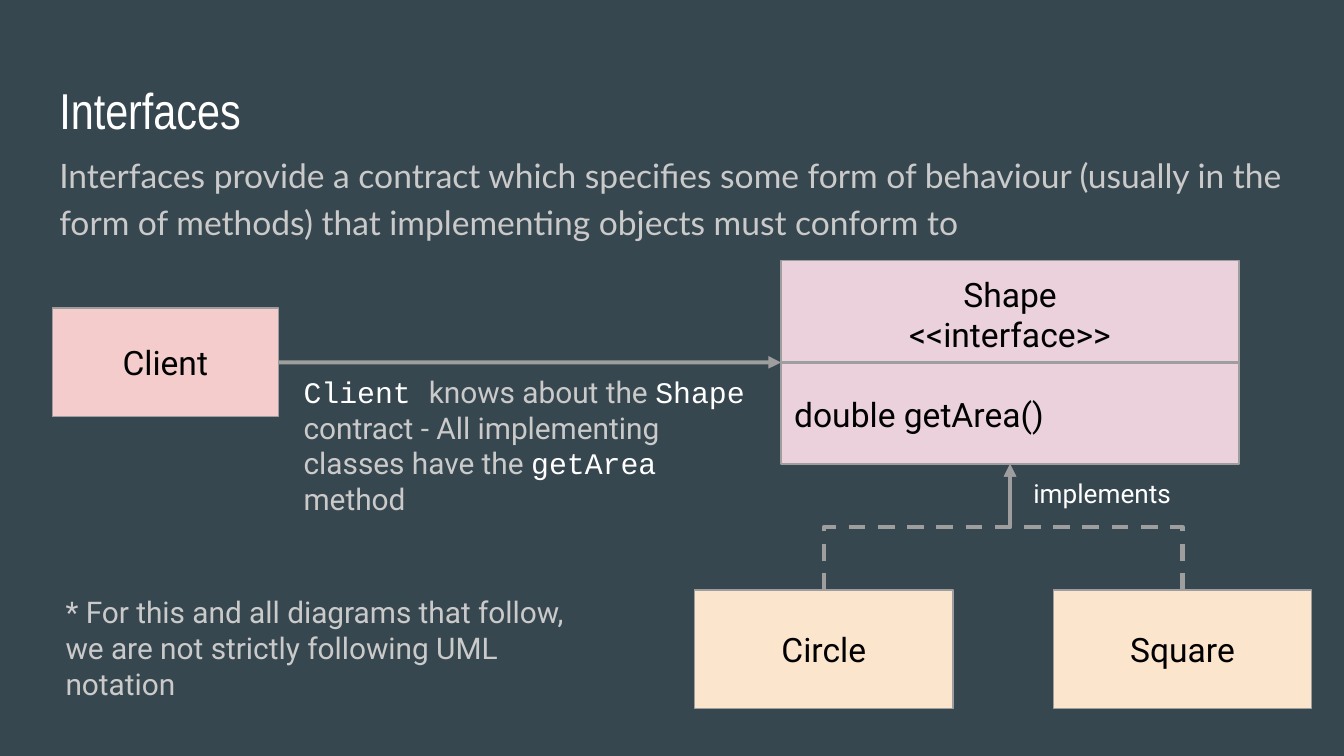
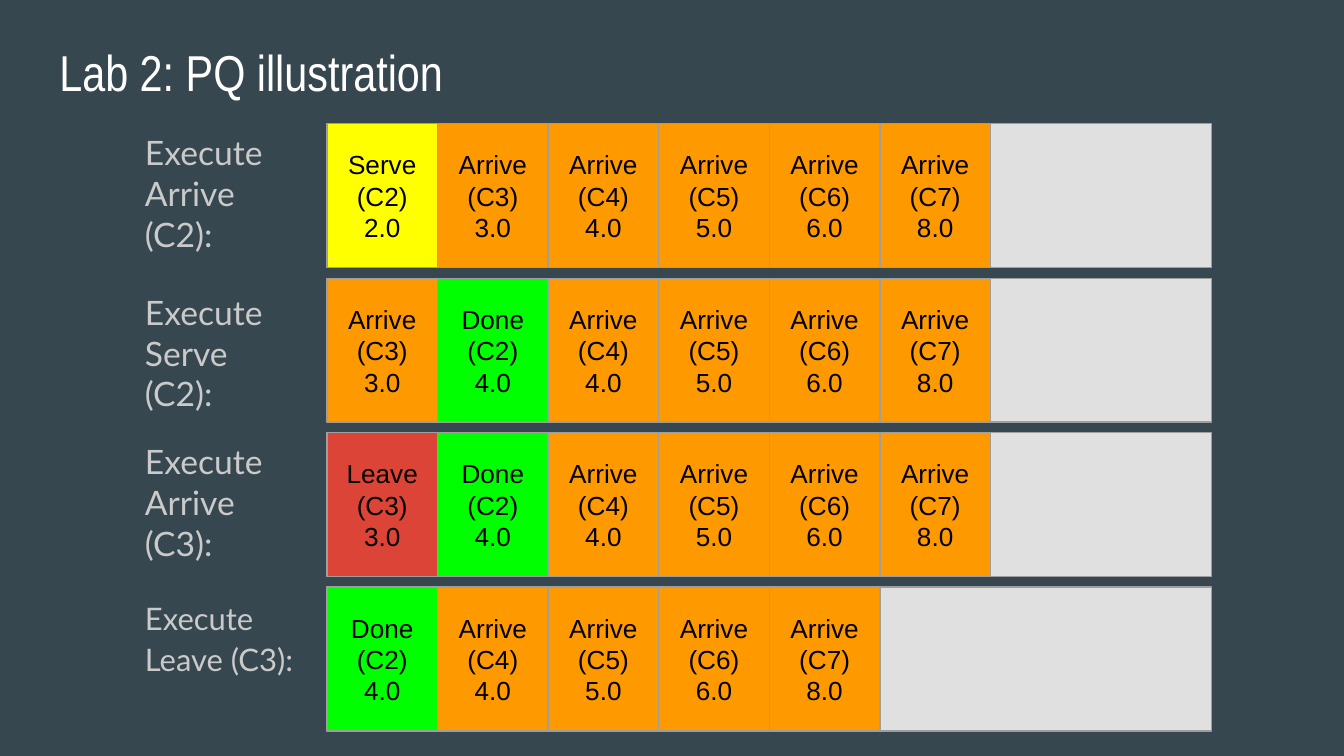
import pptx
import pptx.dml.color
import pptx.enum.dml
import pptx.enum.shapes
import pptx.enum.text
import pptx.oxml.ns
import pptx.util
from lxml import etree

Cm, Pt = pptx.util.Cm, pptx.util.Pt
ALIGN = pptx.enum.text.PP_ALIGN
ANCHOR = pptx.enum.text.MSO_ANCHOR
AUTOSIZE = pptx.enum.text.MSO_AUTO_SIZE
CONNECTOR = pptx.enum.shapes.MSO_CONNECTOR

COLORS = {
    "background": "37474F", "title": "FFFFFF", "body": "CACACA", "ink": "000000",
    "line": "9E9E9E", "interface": "EAD1DC", "class": "FCE5CD", "client": "F4CCCC",
    "queue": "E0E0E0", "Serve": "FFFF00", "Arrive": "FF9900", "Done": "00FF00",
    "Leave": "DB4437",
}

QUEUE_SLOTS = 8
QUEUE_STEPS = [  # label, label box (left, top, width, height), size, spacing, events
    ("Execute Arrive (C2):", (2.49, 2.24, 3.43, 2.92), 18, 1.01,
     [("Serve (C2)", "2.0"), ("Arrive (C3)", "3.0"), ("Arrive (C4)", "4.0"),
      ("Arrive (C5)", "5.0"), ("Arrive (C6)", "6.0"), ("Arrive (C7)", "8.0")]),
    ("Execute\nServe (C2):", (2.49, 5.26, 2.79, 2.92), 18, 1.01,
     [("Arrive (C3)", "3.0"), ("Done\n(C2)", "4.0"), ("Arrive (C4)", "4.0"),
      ("Arrive (C5)", "5.0"), ("Arrive (C6)", "6.0"), ("Arrive (C7)", "8.0")]),
    ("Execute\nArrive (C3):", (2.49, 8.08, 3.43, 3.58), 18, 1.01,
     [("Leave (C3)", "3.0"), ("Done\n(C2)", "4.0"), ("Arrive (C4)", "4.0"),
      ("Arrive (C5)", "5.0"), ("Arrive (C6)", "6.0"), ("Arrive (C7)", "8.0")]),
    ("Execute\nLeave (C3):", (2.49, 11, 3.43, 2.92), 16.6, 1.11,
     [("Done\n(C2)", "4.0"), ("Arrive (C4)", "4.0"), ("Arrive (C5)", "5.0"),
      ("Arrive (C6)", "6.0"), ("Arrive (C7)", "8.0")]),
]


def rgb(name):
    return pptx.dml.color.RGBColor.from_string(COLORS[name])


def add_xml(parent, tag, **attributes):
    return etree.SubElement(parent, pptx.oxml.ns.qn(tag), attributes)


# Text

def style_run(run, font, size, color):
    run.font.name = font
    run.font.size = Pt(size)
    run.font.bold = False
    run.font.color.rgb = rgb(color)


def prepare_frame(frame, anchor=ANCHOR.TOP, auto_size=AUTOSIZE.NONE):
    frame.margin_left = frame.margin_right = Cm(0.25)
    frame.margin_top = frame.margin_bottom = Cm(0.25)
    frame.word_wrap = True
    frame.auto_size = auto_size
    frame.vertical_anchor = anchor


def write(frame, text, font, size, color, align=ALIGN.LEFT):
    frame.text = text
    for paragraph in frame.paragraphs:
        paragraph.alignment = align
        for run in paragraph.runs:
            style_run(run, font, size, color)


def place(shape, box):
    shape.left, shape.top, shape.width, shape.height = map(Cm, box)


def fill_title(slide, text, top):
    title = slide.shapes.title
    place(title, (0.87, top, 23.67, 1.6))
    prepare_frame(title.text_frame)
    write(title.text_frame, text, "Arial Narrow", 27, "title")


def fill_body(body, box, text, size, spacing, after=0):
    place(body, box)
    prepare_frame(body.text_frame)
    write(body.text_frame, text, "Lato", size, "body")
    for paragraph in body.text_frame.paragraphs:
        paragraph.line_spacing = spacing
        paragraph.space_before = Pt(0)
        paragraph.space_after = Pt(after)
        properties = paragraph._p.get_or_add_pPr()
        properties.set("marL", "0")
        properties.set("indent", "0")
        add_xml(properties, "a:buNone")


def add_caption(slide, box, parts):
    """A text box of one paragraph; parts are (text, font, size, color)."""
    caption = slide.shapes.add_textbox(*map(Cm, box))
    prepare_frame(caption.text_frame, auto_size=AUTOSIZE.SHAPE_TO_FIT_TEXT)
    for text, *style in parts:
        run = caption.text_frame.paragraphs[0].add_run()
        run.text = text
        style_run(run, *style)


# Boxes and lines

def add_box(slide, box, fill, text="", font="Roboto", size=18, anchor=ANCHOR.MIDDLE):
    shape = slide.shapes.add_shape(
        pptx.enum.shapes.MSO_SHAPE.RECTANGLE, *map(Cm, box))
    shape.shadow.inherit = False
    shape.fill.solid()
    shape.fill.fore_color.rgb = rgb(fill)
    shape.line.color.rgb = rgb("line")
    shape.line.width = Pt(0.75)
    if text:
        prepare_frame(shape.text_frame, anchor)
        write(shape.text_frame, text, font, size, "ink", ALIGN.CENTER)
    return shape


def add_line(slide, kind, start, end, width=2.25, arrow=True, dashed=False):
    line = slide.shapes.add_connector(kind, *map(Cm, start + end))
    line.line.color.rgb = rgb("line")
    line.line.width = Pt(width)
    if dashed:
        line.line.dash_style = pptx.enum.dml.MSO_LINE.DASH
    properties = line._element.spPr
    if arrow:
        add_xml(properties.find(pptx.oxml.ns.qn("a:ln")), "a:tailEnd", type="triangle")
    add_xml(properties, "a:effectLst")
    return line


def add_implements_arrow(slide, start, end):
    """A dashed elbow that leaves start upwards and reaches end from below."""
    run, rise = abs(end[0] - start[0]), start[1] - end[1]
    center_x, center_y = (start[0] + end[0]) / 2, (start[1] + end[1]) / 2
    arrow = add_line(slide, CONNECTOR.ELBOW,
                     (center_x - rise / 2, center_y - run / 2),
                     (center_x + rise / 2, center_y + run / 2), dashed=True)
    frame = arrow._element.spPr.find(pptx.oxml.ns.qn("a:xfrm"))
    if start[0] < end[0]:
        frame.set("rot", str(270 * 60000))
    else:
        frame.set("rot", str(90 * 60000))
        frame.set("flipH", "1")


# Slide regions

def class_diagram(slide, left, top):
    # Interface with its method compartment
    interface_left, interface_width, interface_height = left + 13.77, 8.66, 3.84
    middle = top + interface_height / 2
    interface = add_box(
        slide, (interface_left, top, interface_width, interface_height), "interface",
        "Shape\n<<interface>>\ndouble getArea()", anchor=ANCHOR.TOP)
    method = interface.text_frame.paragraphs[-1]
    method.alignment = ALIGN.LEFT
    method.space_before = Pt(21)
    add_line(slide, CONNECTOR.STRAIGHT, (interface_left, middle),
             (interface_left + interface_width, middle), width=1.5, arrow=False)

    # Implementing classes
    class_top, class_width = top + 6.22, 4.88
    arrow_end = (interface_left + interface_width / 2, top + interface_height)
    for name, offset in (("Circle", 12.14), ("Square", 18.92)):
        class_left = left + offset
        add_box(slide, (class_left, class_top, class_width, 2.24), "class", name)
        add_implements_arrow(slide, (class_left + class_width / 2, class_top), arrow_end)
    add_caption(slide, (left + 18.29, top + interface_height, 3.25, 1.12),
                [("implements", "Roboto", 14, "title")])

    # Client and what it knows
    client_width, client_height = 4.27, 2.06
    client = add_box(slide, (left, middle - client_height / 2, client_width, client_height),
                     "client", "Client")
    knows = add_line(slide, CONNECTOR.STRAIGHT, (left + client_width, middle),
                     (interface_left, middle))
    knows.begin_connect(client, 3)
    knows.end_connect(interface, 1)
    code, prose = ("Courier New", 16, "title"), ("Roboto", 16, "body")
    add_caption(slide, (left + 4.5, top + 1.88, 9.25, 3.25), [
        ("Client ", *code), ("knows about the ", *prose), ("Shape ", *code),
        ("contract - All implementing classes have the ", *prose),
        ("getArea ", *code), ("method", *prose)])

    # Footnote
    add_caption(slide, (left, top + 6.04, 9.96, 2.57), [
        ("* For this and all diagrams that follow, we are not strictly following "
         "UML notation", *prose)])


def queue_row(slide, box, events):
    left, top, width, height = box
    slot = width / QUEUE_SLOTS
    add_box(slide, box, "queue")
    for position, (event, time) in enumerate(events):
        add_box(slide, (left + position * slot, top, slot, height), event.split()[0],
                f"{event}\n{time}", "Arial", 14)


def interfaces_slide(deck):
    slide = deck.slides.add_slide(deck.slide_layouts.get_by_name("Title and Content"))
    fill_title(slide, "Interfaces", 1.25)
    fill_body(slide.placeholders[1], (0.87, 2.57, 23.67, 9.5),
              "Interfaces provide a contract which specifies some form of behaviour "
              "(usually in the form of methods) that implementing objects must conform to",
              18, 1.15, after=12)
    class_diagram(slide, 0.99, 4.93)


def queue_slide(deck):
    # The comparison layout offers four body placeholders, one per step
    slide = deck.slides.add_slide(deck.slide_layouts.get_by_name("Comparison"))
    fill_title(slide, "Lab 2: PQ illustration", 0.53)
    for row, (label, label_box, size, spacing, events) in enumerate(QUEUE_STEPS):
        fill_body(slide.placeholders[row + 1], label_box, label, size, spacing)
        queue_row(slide, (6.18, 2.34 + row * 2.92, 16.72, 2.72), events)


def main():
    deck = pptx.Presentation()
    deck.slide_width, deck.slide_height = Cm(25.4), Cm(14.29)
    background = deck.slide_master.background.fill
    background.solid()
    background.fore_color.rgb = rgb("background")
    interfaces_slide(deck)
    queue_slide(deck)
    deck.save("out.pptx")


if __name__ == "__main__":
    main()
